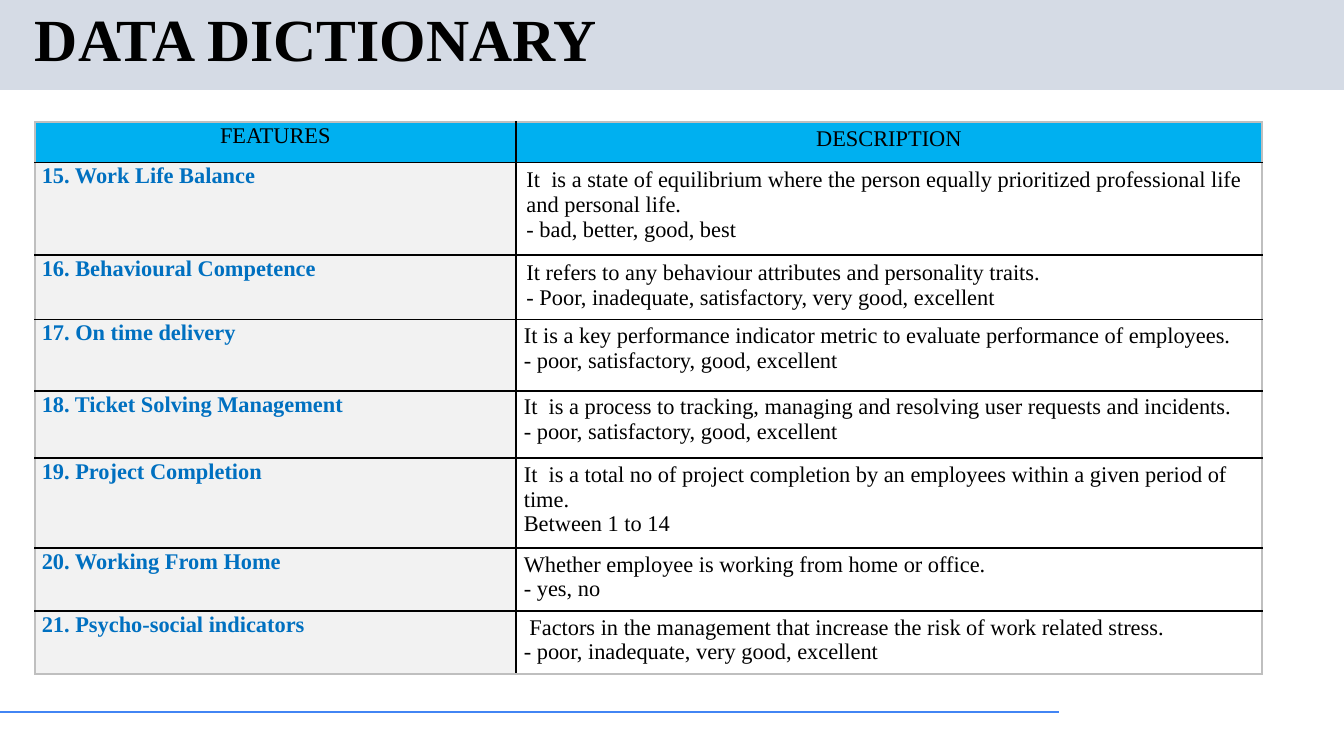
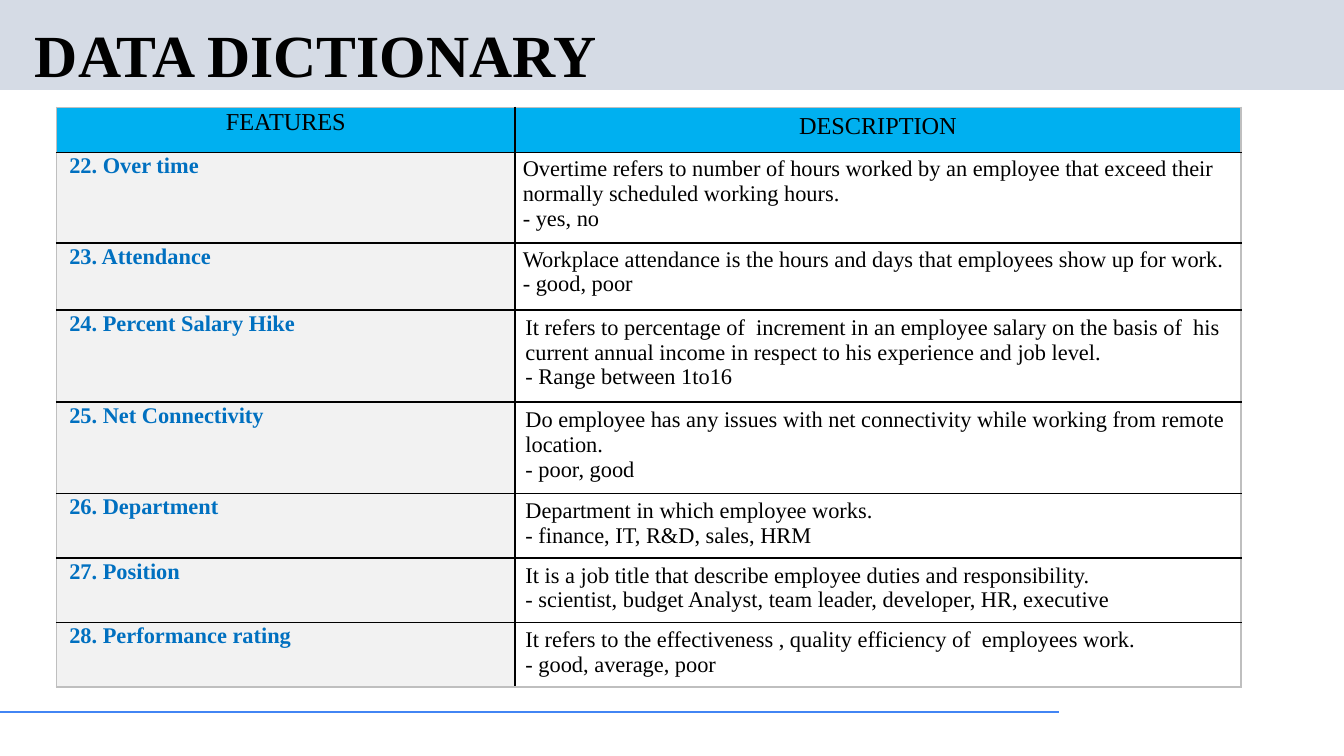
from lxml import etree
from pptx import Presentation
from pptx import util as u
from pptx.dml.color import RGBColor
from pptx.enum import shapes, text
from pptx.oxml.ns import qn

FONT = "Times New Roman"
HUES = {
    "band": "D5DBE5",
    "rule": "4285F4",
    "head": "00B0F0",
    "side": "F2F2F2",
    "name": "0070C0",
    "ink": "000000",
    "edge": "BFBFBF",
}
TIGHT = (0.15, 0.08)
LOOSE = (0.2, 0.1)

PAGES = [
    {
        "title": (0, 1.58),
        "at": (0.66, 2.31),
        "cols": (9.09, 14.1),
        "inset": 0.13,
        "size": 12,
        "pad": TIGHT,
        "rows": [
            (1.75, LOOSE, "15. Work Life Balance",
             "It  is a state of equilibrium where the person equally prioritized professional life and personal life.",
             "- bad, better, good, best"),
            (1.19, LOOSE, "16. Behavioural Competence",
             "It refers to any behaviour attributes and personality traits.",
             "- Poor, inadequate, satisfactory, very good, excellent"),
            (1.35, TIGHT, "17. On time delivery",
             "It is a key performance indicator metric to evaluate performance of employees.",
             "- poor, satisfactory, good, excellent"),
            (1.27, TIGHT, "18. Ticket Solving Management",
             "It  is a process to tracking, managing and resolving user requests and incidents.",
             "- poor, satisfactory, good, excellent"),
            (1.7, TIGHT, "19. Project Completion",
             "It  is a total no of project completion by an employees within a given period of time.",
             "Between 1 to 14"),
            (1.19, TIGHT, "20. Working From Home",
             "Whether employee is working from home or office.",
             "- yes, no"),
            (1.19, TIGHT, "21. Psycho-social indicators",
             " Factors in the management that increase the risk of work related stress.",
             "- poor, inadequate, very good, excellent"),
        ],
        "top": 0.76,
    },
    {
        "title": (0.38, 1.42),
        "at": (1.07, 2.03),
        "cols": (8.66, 13.72),
        "inset": 0.24,
        "size": 13,
        "pad": LOOSE,
        "rows": [
            (1.71, TIGHT, "22. Over time",
             "Overtime refers to number of hours worked by an employee that exceed their normally scheduled working hours.",
             "- yes, no"),
            (1.27, TIGHT, "23. Attendance",
             "Workplace attendance is the hours and days that employees show up for work.",
             "- good, poor"),
            (1.74, LOOSE, "24. Percent Salary Hike",
             "It refers to percentage of  increment in an employee salary on the basis of  his current annual income in respect to his experience and job level.",
             "- Range between 1to16"),
            (1.6, LOOSE, "25. Net Connectivity",
             "Do employee has any issues with net connectivity while working from remote location.",
             "- poor, good"),
            (1.22, LOOSE, "26. Department",
             "Department in which employee works.",
             "- finance, IT, R&D, sales, HRM"),
            (1.22, LOOSE, "27. Position",
             "It is a job title that describe employee duties and responsibility.",
             "- scientist, budget Analyst, team leader, developer, HR, executive"),
            (1.12, LOOSE, "28. Performance rating",
             "It refers to the effectiveness , quality efficiency of  employees work.",
             "- good, average, poor"),
        ],
        "top": 0.85,
    },
]


def style(frame, size, hue, bold=False, align=text.PP_ALIGN.LEFT):
    for para in frame.paragraphs:
        para.alignment = align
        para.font.name = FONT
        para.font.size = u.Pt(size)
        para.font.bold = bold
        para.font.color.rgb = RGBColor.from_string(HUES[hue])


def border(cell, side, hue):
    line = etree.SubElement(cell._tc.get_or_add_tcPr(), qn("a:ln" + side), w=str(u.Pt(1)))
    fill = etree.SubElement(line, qn("a:solidFill"))
    etree.SubElement(fill, qn("a:srgbClr"), val=HUES[hue])


deck = Presentation()
deck.slide_width, deck.slide_height = u.Cm(25.4), u.Cm(14.29)

for page in PAGES:
    slide = deck.slides.add_slide(deck.slide_layouts[6])

    band = slide.shapes.add_shape(shapes.MSO_SHAPE.RECTANGLE, 0, 0, deck.slide_width, u.Cm(1.7))
    band.shadow.inherit = False
    band.fill.solid()
    band.fill.fore_color.rgb = RGBColor.from_string(HUES["band"])
    band.line.fill.background()

    rule = slide.shapes.add_connector(shapes.MSO_CONNECTOR.STRAIGHT, 0, u.Cm(13.46), u.Cm(20.02), u.Cm(13.46))
    rule.line.color.rgb = RGBColor.from_string(HUES["rule"])
    rule.line.width = u.Pt(0.75)
    etree.SubElement(rule._element.spPr, qn("a:effectLst"))

    top, high = page["title"]
    title = slide.shapes.add_textbox(u.Cm(0.48), u.Cm(top), u.Cm(21.9), u.Cm(high)).text_frame
    title.word_wrap = True
    title.vertical_anchor = text.MSO_ANCHOR.MIDDLE
    title.margin_left = title.margin_right = u.Cm(0.18)
    title.margin_top = title.margin_bottom = u.Cm(0.1)
    title.text = "DATA DICTIONARY"
    title.paragraphs[0].line_spacing = 0.9
    style(title, 32, "ink", True)

    rows = [(page["top"], page["pad"], "FEATURES", "DESCRIPTION")] + page["rows"]
    left, top = page["at"]
    table = slide.shapes.add_table(
        len(rows), 2, u.Cm(left), u.Cm(top),
        u.Cm(sum(page["cols"])), u.Cm(sum(row[0] for row in rows))).table
    table.first_row = table.horz_banding = False
    for col, wide in zip(table.columns, page["cols"]):
        col.width = u.Cm(wide)

    for r, (high, pad, name, *about) in enumerate(rows):
        table.rows[r].height = u.Cm(high)
        head = r == 0
        for c, words in enumerate((name, "\n".join(about))):
            cell = table.cell(r, c)
            cell.text = words
            if c == 0:
                cell.margin_left = u.Cm(0.03 if head else page["inset"])
                cell.margin_right = cell.margin_top = u.Cm(0.03)
                cell.margin_bottom = 0
            else:
                cell.margin_left = cell.margin_right = u.Cm(pad[0])
                cell.margin_top = cell.margin_bottom = u.Cm(pad[1])

            border(cell, "L", "edge" if c == 0 else "ink")
            border(cell, "R", "edge" if c == 1 else "ink")
            border(cell, "T", "edge" if head else "ink")
            border(cell, "B", "edge" if r == len(rows) - 1 else "ink")

            if head or c == 0:
                cell.fill.solid()
                cell.fill.fore_color.rgb = RGBColor.from_string(HUES["head" if head else "side"])
            else:
                cell.fill.background()

            if head:
                style(cell.text_frame, page["size"], "ink", align=text.PP_ALIGN.CENTER)
            elif c == 0:
                style(cell.text_frame, 12, "name", True)
            else:
                style(cell.text_frame, 12, "ink")

deck.save("out.pptx")
